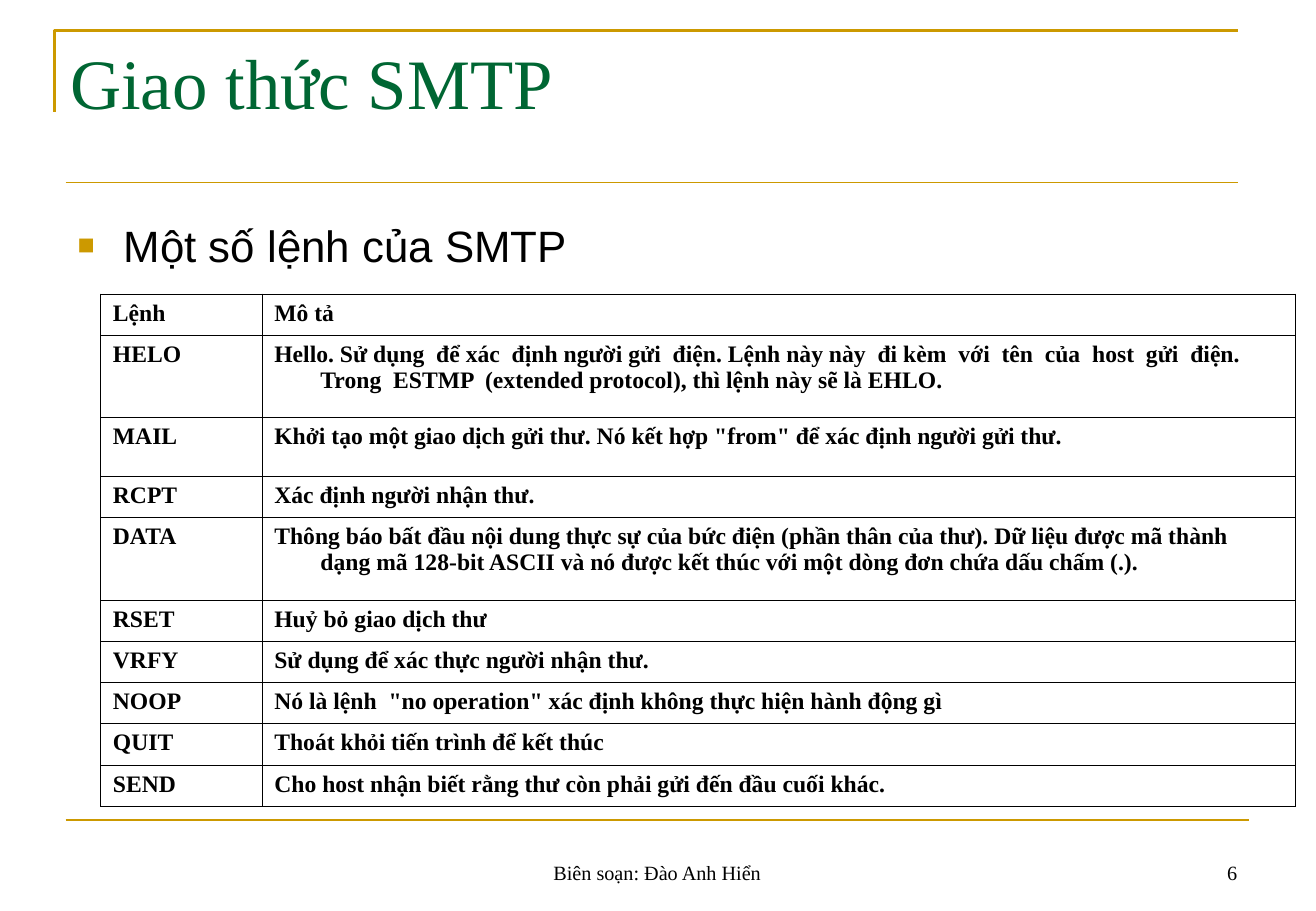
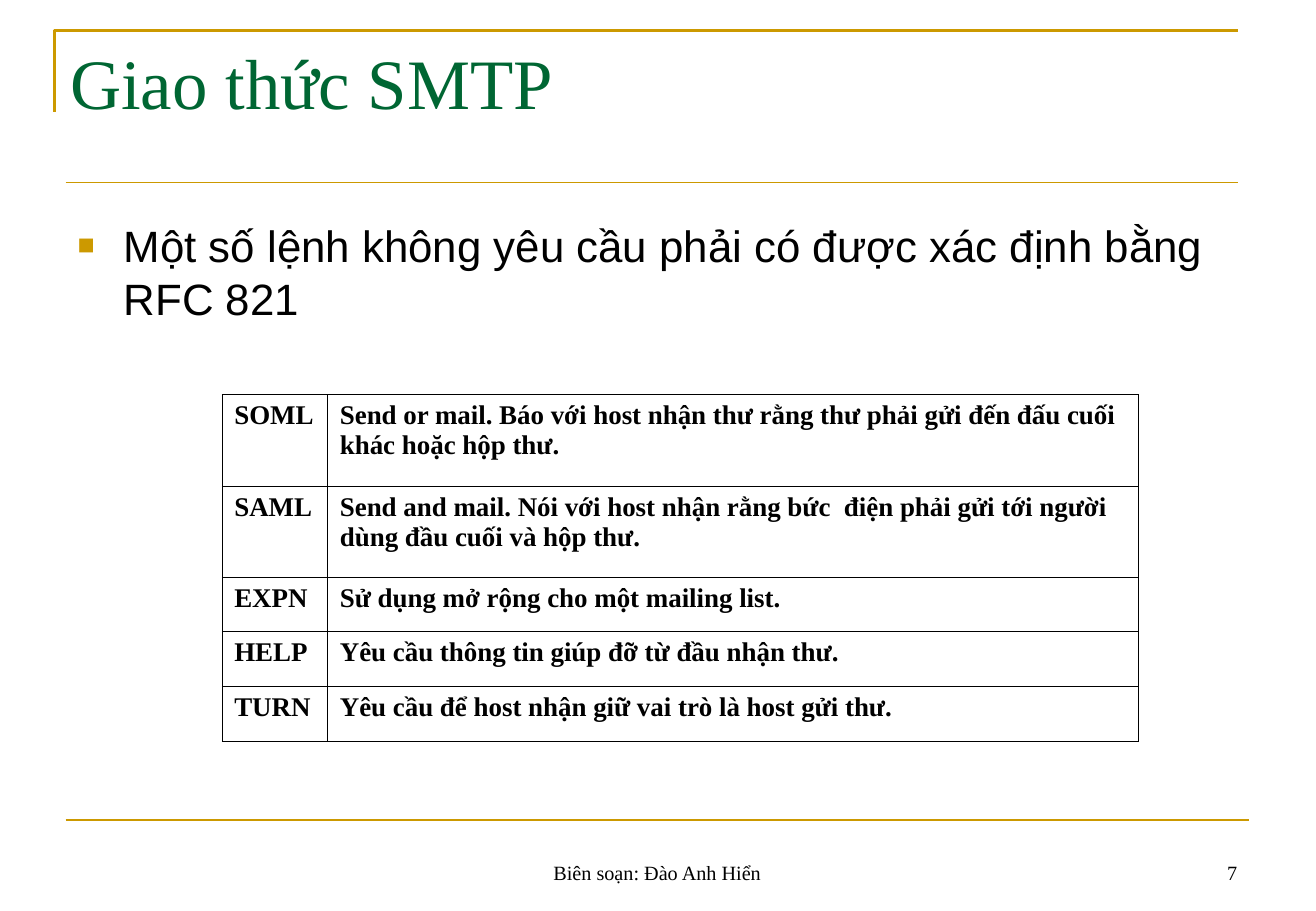
from lxml import etree
from pptx import Presentation, util as u
from pptx.dml.color import RGBColor
from pptx.enum import shapes, text
from pptx.oxml.ns import qn

# Shared style
GOLD, GREEN, BLACK = "CC9900", "006633", "000000"
SERIF, SANS = "Times New Roman", "Arial"
HANG = 0.38
TITLE = "Giao thức SMTP"
FOOT = "Biên soạn: Đào Anh Hiển"

# Content
SLIDES = [
    dict(num=6, lead="Một số lệnh của SMTP", wide=4.79,
         at=(0.83, 2.42), cols=(1.33, 8.51), size=14, hang=HANG,
         rows=[
             (0.34, "Lệnh", "Mô tả"),
             (0.68, "HELO", "Hello. Sử dụng  để xác  định người gửi  điện. "
              "Lệnh này này  đi kèm  với  tên  của  host  gửi  điện.  "
              "Trong  ESTMP  (extended protocol), thì lệnh này sẽ là EHLO."),
             (0.48, "MAIL", "Khởi tạo một giao dịch gửi thư. "
              'Nó kết hợp "from" để xác định người gửi thư.'),
             (0.34, "RCPT", "Xác định người nhận thư."),
             (0.68, "DATA", "Thông báo bất đầu nội dung thực sự của bức điện "
              "(phần thân của thư). Dữ liệu được mã thành dạng mã 128-bit "
              "ASCII và nó được kết thúc với một dòng đơn chứa dấu chấm (.)."),
             (0.34, "RSET", "Huỷ bỏ giao dịch thư"),
             (0.34, "VRFY", "Sử dụng để xác thực người nhận thư."),
             (0.34, "NOOP", 'Nó là lệnh  "no operation" xác định không '
              "thực hiện hành động gì"),
             (0.34, "QUIT", "Thoát khỏi tiến trình để kết thúc"),
             (0.34, "SEND", "Cho host nhận biết rằng thư còn phải gửi đến "
              "đầu cuối khác."),
         ]),
    dict(num=7, wide=9.79,
         lead="Một số lệnh không yêu cầu phải có được xác định bằng RFC 821",
         at=(1.83, 3.25), cols=(0.87, 6.68), size=16, hang=0,
         rows=[
             (0.75, "SOML", "Send or mail. Báo với host nhận thư rằng thư "
              "phải gửi đến đấu cuối khác hoặc hộp thư."),
             (0.75, "SAML", "Send and mail. Nói với host nhận rằng bức  điện "
              "phải gửi tới người dùng đầu cuối và hộp thư."),
             (0.45, "EXPN", "Sử dụng mở rộng cho một mailing list."),
             (0.45, "HELP", "Yêu cầu thông tin giúp đỡ từ đầu nhận thư."),
             (0.45, "TURN", "Yêu cầu để host nhận giữ vai trò là host gửi thư."),
         ]),
]


def color(code):
    return RGBColor.from_string(code)


def node(par, tag, **attrs):
    return etree.SubElement(par, qn(tag), attrs)


def style(par, size, face=SERIF, tint=BLACK, bold=False):
    font = par.runs[0].font
    font.size, font.name, font.bold = u.Pt(size), face, bold
    font.color.rgb = color(tint)


def indent(par, hang):
    props = par._p.get_or_add_pPr()
    props.set("marL", str(u.Inches(hang)))
    props.set("indent", str(-u.Inches(hang)))
    return props


def label(slide, words, box, size, tint=BLACK, face=SERIF,
          align=text.PP_ALIGN.LEFT, anchor=text.MSO_ANCHOR.TOP):
    frame = slide.shapes.add_textbox(*map(u.Inches, box)).text_frame
    frame.word_wrap, frame.vertical_anchor = True, anchor
    frame.text = words
    par = frame.paragraphs[0]
    par.alignment = align
    style(par, size, face, tint)
    return par


def rule(slide, right, y, width):
    line = slide.shapes.add_connector(
        shapes.MSO_CONNECTOR.STRAIGHT,
        u.Inches(0.54), u.Inches(y), u.Inches(right), u.Inches(y))
    line.line.color.rgb = color(GOLD)
    line.line.width = u.Pt(width)
    node(line._element.spPr, "a:effectLst")


def frame_slide(slide, num):
    # Corner bracket and rules
    pen = slide.shapes.build_freeform(u.Inches(0.45), u.Inches(0.92))
    pen.add_line_segments([(u.Inches(0.45), u.Inches(0.25)),
                           (u.Inches(10.2), u.Inches(0.25))], close=False)
    edge = pen.convert_to_shape()
    edge.shadow.inherit = False
    edge.fill.background()
    edge.line.color.rgb = color(GOLD)
    edge.line.width = u.Pt(1.5)
    rule(slide, 10.29, 6.75, 1.5)
    rule(slide, 10.2, 1.5, 0.75)
    # Title and footer
    label(slide, TITLE, (0.48, 0.27, 9.75, 1.25), 42, GREEN)
    low = text.MSO_ANCHOR.BOTTOM
    label(slide, FOOT, (3.7, 6.83, 3.43, 0.5), 12,
          align=text.PP_ALIGN.CENTER, anchor=low)
    label(slide, str(num), (7.76, 6.83, 2.53, 0.5), 12,
          align=text.PP_ALIGN.RIGHT, anchor=low)


def add_lead(slide, words, wide):
    par = label(slide, words, (0.54, 1.75, wide, 4.95), 26, face=SANS)
    props = indent(par, HANG)
    node(node(props, "a:buClr"), "a:srgbClr", val=GOLD)
    node(props, "a:buSzPct", val="65000")
    node(props, "a:buFont", typeface=SANS)
    node(props, "a:buChar", char="■")


def border(cell):
    props = cell._tc.get_or_add_tcPr()
    for side in "LRTB":
        line = node(props, "a:ln" + side, w=str(u.Pt(0.45)))
        node(node(line, "a:solidFill"), "a:srgbClr", val=BLACK)


def add_grid(slide, at, cols, rows, size, hang):
    high = sum(row[0] for row in rows)
    grid = slide.shapes.add_table(
        len(rows), len(cols),
        *map(u.Inches, (*at, sum(cols), high))).table
    grid.first_row = grid.horz_banding = False
    for col, width in zip(grid.columns, cols):
        col.width = u.Inches(width)
    for row, (tall, *words) in zip(grid.rows, rows):
        row.height = u.Inches(tall)
        for cell, word in zip(row.cells, words):
            border(cell)
            cell.fill.background()
            cell.text = word
            par = cell.text_frame.paragraphs[0]
            indent(par, hang)
            style(par, size, bold=True)


def main():
    deck = Presentation()
    deck.slide_width, deck.slide_height = u.Inches(10.84), u.Inches(7.5)
    for item in SLIDES:
        slide = deck.slides.add_slide(deck.slide_layouts[6])
        frame_slide(slide, item["num"])
        add_lead(slide, item["lead"], item["wide"])
        add_grid(slide, *(item[key] for key in
                          ("at", "cols", "rows", "size", "hang")))
    deck.save("out.pptx")


if __name__ == "__main__":
    main()
